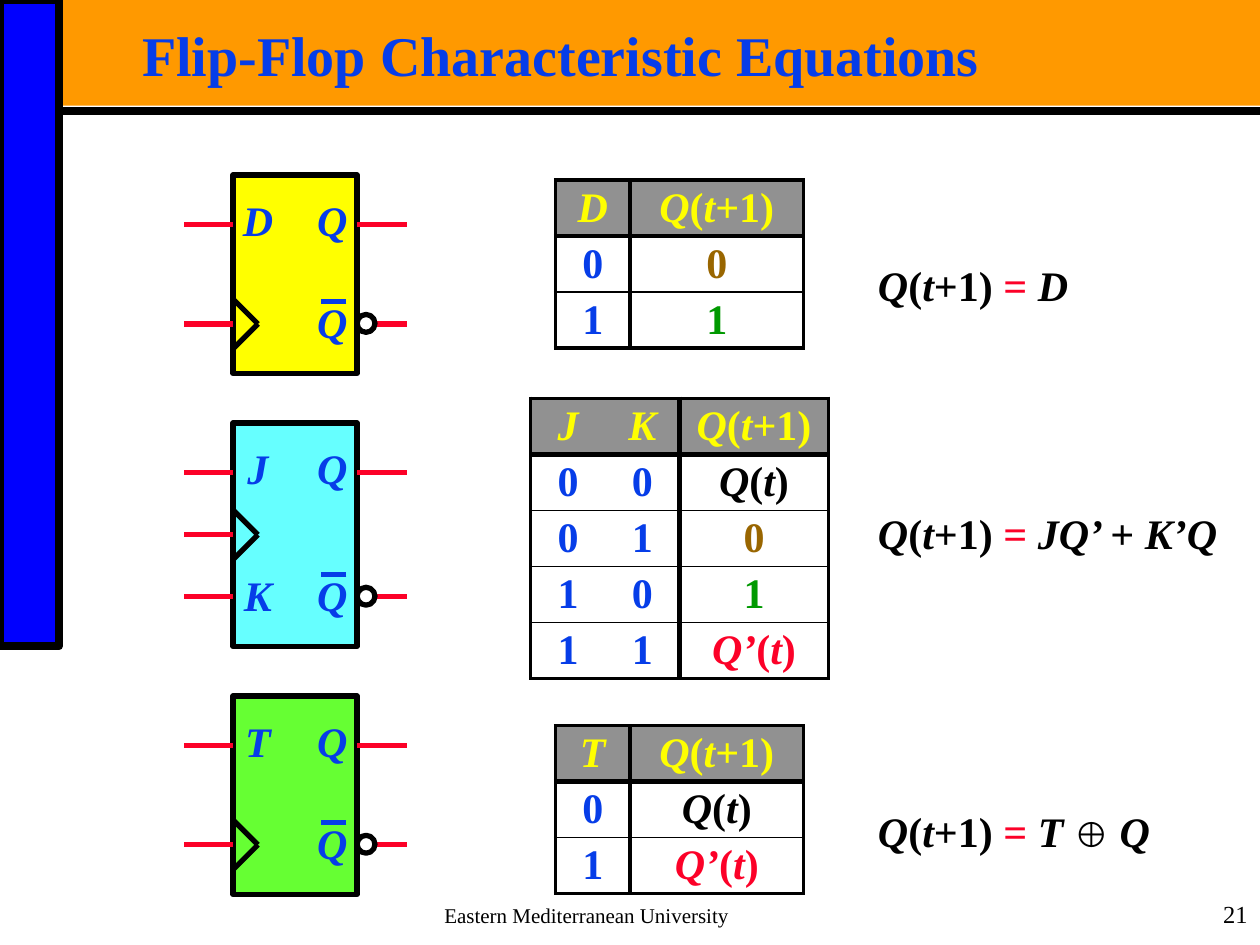
from lxml import etree
from pptx import Presentation
from pptx.dml.color import RGBColor
from pptx.enum.shapes import MSO_CONNECTOR as Link, MSO_SHAPE as Shape
from pptx.enum.text import MSO_ANCHOR as Anchor, PP_ALIGN as Align
from pptx.oxml.ns import qn
from pptx.util import Cm, Pt

BLACK = RGBColor(0x00, 0x00, 0x00)
WHITE = RGBColor(0xFF, 0xFF, 0xFF)
ORANGE = RGBColor(0xFF, 0x99, 0x00)
SIDEBAR = RGBColor(0x00, 0x00, 0xFF)
BLUE = RGBColor(0x06, 0x3D, 0xE8)
RED = RGBColor(0xFC, 0x01, 0x28)
YELLOW = RGBColor(0xFF, 0xFF, 0x00)
CYAN = RGBColor(0x66, 0xFF, 0xFF)
LIME = RGBColor(0x66, 0xFF, 0x33)
GRAY = RGBColor(0x91, 0x91, 0x91)
BROWN = RGBColor(0x99, 0x66, 0x00)
GREEN = RGBColor(0x00, 0x99, 0x00)


def state(name, tail, color):
    """Runs for a state such as Q(t) or Q(t+1)."""
    return [(name, color, True), ("(", color, False),
            ("t", color, True), (tail, color, False)]


def bit(value, color=BLUE):
    return [(value, color, False)]


class Deck:
    font = "Times New Roman"
    size = 24
    row_height = 1.13
    thin, edge, thick = 1, 2.25, 3

    def __init__(self):
        self.prs = Presentation()
        self.prs.slide_width, self.prs.slide_height = Cm(25.4), Cm(19.05)
        self.s = self.prs.slides.add_slide(self.prs.slide_layouts[6])
        self.shapes = self.s.shapes

    def shape(self, kind, x, y, w, h, fill, line=None):
        sp = self.shapes.add_shape(kind, Cm(x), Cm(y), Cm(w), Cm(h))
        sp.shadow.inherit = False
        sp.fill.solid()
        sp.fill.fore_color.rgb = fill
        if line:
            sp.line.color.rgb, sp.line.width = BLACK, Pt(line)
        else:
            sp.line.fill.background()
        return sp

    def line(self, x1, y1, x2, y2, color, width=3):
        cxn = self.shapes.add_connector(Link.STRAIGHT, Cm(x1), Cm(y1), Cm(x2), Cm(y2))
        cxn.line.color.rgb, cxn.line.width = color, Pt(width)
        etree.SubElement(cxn._element.spPr, qn("a:effectLst"))
        return cxn

    def runs(self, p, runs, size=None, bold=True):
        """Each run is (text, color, italic) with an optional own size."""
        for text, color, italic, *own_size in runs:
            r = p.add_run()
            r.text = text
            r.font.name, r.font.bold, r.font.italic = self.font, bold, italic
            r.font.size = Pt(own_size[0] if own_size else size or self.size)
            r.font.color.rgb = color

    def text(self, x, y, w, h, runs, size=None, bold=True, align=Align.LEFT,
             anchor=Anchor.TOP, inset=(0, 0), spacing=None):
        tf = self.shapes.add_textbox(Cm(x), Cm(y), Cm(w), Cm(h)).text_frame
        tf.word_wrap, tf.vertical_anchor = True, anchor
        tf.margin_left = tf.margin_right = Cm(inset[0])
        tf.margin_top = tf.margin_bottom = Cm(inset[1])
        p = tf.paragraphs[0]
        p.alignment = align
        if spacing:
            p.line_spacing = spacing
        self.runs(p, runs, size, bold)

    def pin_label(self, x, y, name):
        self.text(x, y, 1, 0.91, [(name, BLUE, True)], align=Align.CENTER, spacing=0.9)

    def flip_flop(self, y, height, color, clock, inputs):
        """Draw a block; clock and inputs are pin offsets from its top."""
        left, width, lead = 4.7, 2.5, 1
        right = left + width
        self.shapes = self.s.shapes.add_group_shape().shapes
        box = self.shape(Shape.RECTANGLE, left, y, width, height, color, 3)

        # Clock input with its triangle
        tip = y + clock
        self.line(left, tip - 0.5, left + 0.5, tip, BLACK)
        self.line(left + 0.5, tip, left, tip + 0.5, BLACK)
        wire = self.line(left, tip, left - lead, tip, RED)
        if clock == height / 2:
            wire.begin_connect(box, 1)

        # Data inputs
        for name, offset, rise in inputs:
            self.line(left, y + offset, left - lead, y + offset, RED)
            self.pin_label(left, y + offset - rise, name)

        # Outputs Q and inverted Q
        q, q_bar = y + 1, y + height - 1
        for pin, rise in ((q, 0.5), (q_bar, 0.43)):
            self.line(right + lead, pin, right, pin, RED)
            self.pin_label(right - 1, pin - rise, "Q")
        self.shape(Shape.OVAL, right, q_bar - 0.19, 0.36, 0.36, WHITE, 3)
        self.line(right - 0.22, q_bar - 0.45, right - 0.72, q_bar - 0.45, BLUE)
        self.shapes = self.s.shapes

    def borders(self, cell, **widths):
        tc_pr = cell._tc.get_or_add_tcPr()
        for side in "LRTB":
            width = widths[side]
            ln = etree.SubElement(tc_pr, qn("a:ln" + side), w=str(Pt(width)))
            if width:
                fill = etree.SubElement(ln, qn("a:solidFill"))
                etree.SubElement(fill, qn("a:srgbClr"), val=str(BLACK))
            else:
                etree.SubElement(ln, qn("a:noFill"))

    def table(self, x, y, widths, rows):
        n, m = len(rows), len(widths)
        table = self.shapes.add_table(n, m, Cm(x), Cm(y), Cm(sum(widths)),
                                      Cm(n * self.row_height)).table
        table.first_row = table.horz_banding = False
        for column, width in zip(table.columns, widths):
            column.width = Cm(width)
        # Heavy rules set off the header row and the next-state column
        across = [self.edge, self.thick] + [self.thin] * (n - 2) + [self.edge]
        down = [self.edge] + [0] * (m - 2) + [self.thick, self.edge]
        for i, row in enumerate(rows):
            table.rows[i].height = Cm(self.row_height)
            for j, runs in enumerate(row):
                cell = table.cell(i, j)
                self.borders(cell, L=down[j], R=down[j + 1], T=across[i], B=across[i + 1])
                if i == 0:
                    cell.fill.solid()
                    cell.fill.fore_color.rgb = GRAY
                else:
                    cell.fill.background()
                cell.margin_left = cell.margin_right = 0
                cell.margin_top = cell.margin_bottom = 0
                cell.vertical_anchor = Anchor.MIDDLE
                p = cell.text_frame.paragraphs[0]
                p.alignment = Align.CENTER
                self.runs(p, runs)

    def equation(self, y, w, result):
        runs = state("Q", "+1) ", BLACK) + [("= ", RED, False)] + result
        self.text(17.7, y, w, 1.22, runs, spacing=1.2)


def main():
    deck = Deck()

    # Frame, footer and title
    deck.shape(Shape.RECTANGLE, 1.19, 0, 24.21, 2.13, ORANGE)
    deck.shape(Shape.RECTANGLE, 0, 0, 1.19, 13.03, SIDEBAR, 4.5)
    deck.line(1.19, 2.23, 25.4, 2.23, BLACK, 4.5)
    footer = dict(bold=False, anchor=Anchor.BOTTOM, inset=(0.25, 0.13))
    deck.text(8.71, 18.03, 9.2, 0.81,
              [("Eastern Mediterranean University", BLACK, False)], 12, **footer)
    deck.text(22.07, 18.03, 3.33, 0.81, [("21", BLACK, False)], 14,
              align=Align.RIGHT, **footer)
    deck.text(2.69, 0.53, 22, 1.32, [("Flip-Flop Characteristic Equations", BLUE, False)],
              32, inset=(0.18, 0.08), spacing=0.87)

    header = state("Q", "+1)", YELLOW)
    hold = state("Q", ")", BLACK)
    toggle = state("Q’", ")", RED)
    reset, set_ = bit("0", BROWN), bit("1", GREEN)

    # D and T flip-flops: one data input, clock below it
    single = [
        ("D", 3.53, YELLOW, reset, set_, 5.03, 4.5, [("D", BLACK, True)]),
        ("T", 14.03, LIME, hold, toggle, 16.03, 6.5,
         [("T ", BLACK, True), ("⊕", BLACK, False, 20), (" ", BLACK, False),
          ("Q", BLACK, True)]),
    ]
    for name, y, color, if_0, if_1, eq_y, eq_w, result in single:
        deck.flip_flop(y, 4, color, 3, [(name, 1, 0.5)])
        deck.table(11.2, y + 0.1 if name == "D" else y + 0.6, [1.5, 3.5],
                   [[[(name, YELLOW, True)], header], [bit("0"), if_0], [bit("1"), if_1]])
        deck.equation(eq_y, eq_w, result)

    # JK flip-flop: clock halfway between its two inputs
    deck.flip_flop(8.53, 4.5, CYAN, 2.25, [("J", 1, 0.5), ("K", 3.5, 0.43)])
    jk_rows = [[[("J", YELLOW, True)], [("K", YELLOW, True)], header]]
    jk_rows += [[bit(j), bit(k), after]
                for (j, k), after in zip(("00", "01", "10", "11"),
                                         (hold, reset, set_, toggle))]
    deck.table(10.7, 8.03, [1.5, 1.5, 3], jk_rows)
    deck.equation(10.03, 7.01, [("JQ’ ", BLACK, True), ("+", BLACK, False),
                                (" K’Q", BLACK, True)])

    deck.prs.save("out.pptx")


if __name__ == "__main__":
    main()
